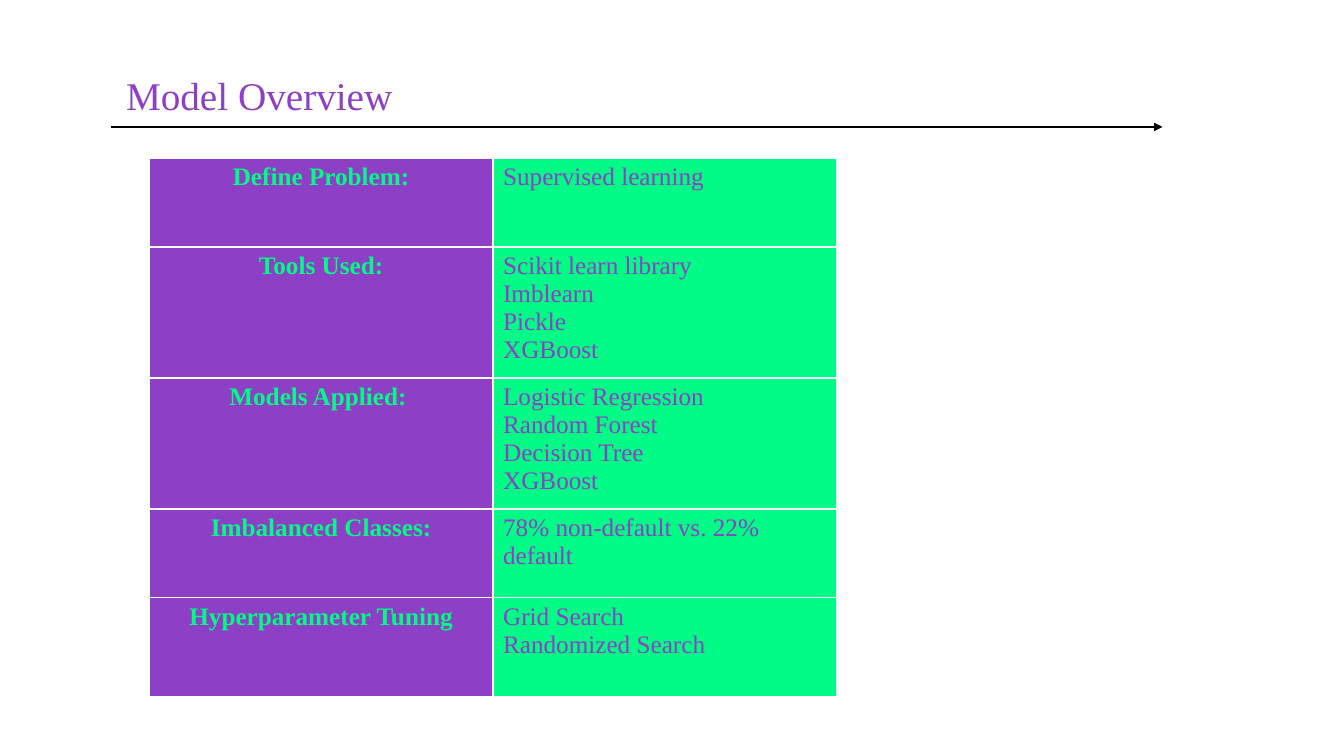
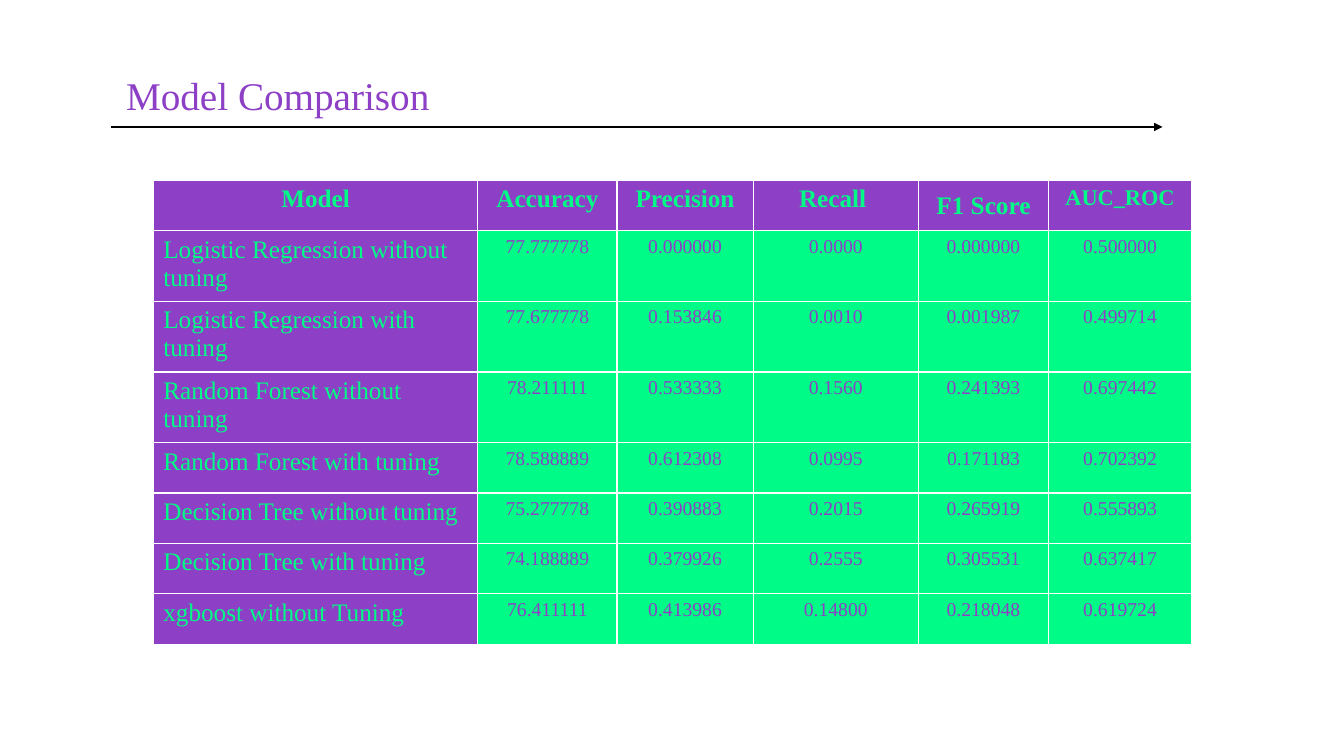
from lxml import etree
from pptx import Presentation
from pptx.dml.color import RGBColor
from pptx.enum.shapes import MSO_CONNECTOR
from pptx.enum.text import MSO_ANCHOR, MSO_AUTO_SIZE, PP_ALIGN
from pptx.oxml.ns import qn
from pptx.util import Inches, Pt

PURPLE = RGBColor(0x8D, 0x40, 0xC5)
GREEN = RGBColor(0x00, 0xFC, 0x86)
BLACK = RGBColor(0x00, 0x00, 0x00)
FONT = "Times New Roman"
STRAIGHT = MSO_CONNECTOR.STRAIGHT
LEFT, CENTER = PP_ALIGN.LEFT, PP_ALIGN.CENTER
TOP, MIDDLE = MSO_ANCHOR.TOP, MSO_ANCHOR.MIDDLE
NO_AUTOFIT = MSO_AUTO_SIZE.NONE
TITLE_ONLY = 5

TITLE_BOX = (1.15, 0.66, 7.16, 0.57)
RULE = (1.1, 1.26, 11.53, 1.26)

OVERVIEW = [
    ("Define Problem:", "Supervised learning"),
    ("Tools Used:", "Scikit learn library\nImblearn\nPickle\nXGBoost"),
    ("Models Applied: ", "Logistic Regression\nRandom Forest\nDecision Tree\nXGBoost"),
    ("Imbalanced Classes:", "78% non-default vs. 22% default"),
    ("Hyperparameter Tuning", "Grid Search\nRandomized Search"),
]
OVERVIEW_HEIGHTS = [0.88, 1.3, 1.3, 0.88, 0.98]

COMPARISON = [
    ("Model", "Accuracy", "Precision", "Recall ", "F1 Score", "AUC_ROC"),
    ("Logistic Regression without tuning", "77.777778", "0.000000", "0.0000", "0.000000", "0.500000"),
    ("Logistic Regression with tuning", "77.677778", "0.153846", "0.0010", "0.001987", "0.499714"),
    ("Random Forest without tuning", "78.211111", "0.533333", "0.1560", "0.241393", "0.697442"),
    ("Random Forest with tuning", "78.588889", "0.612308", "0.0995", "0.171183", "0.702392"),
    ("Decision Tree without tuning", "75.277778", "0.390883", "0.2015", "0.265919", "0.555893"),
    ("Decision Tree with tuning", "74.188889", "0.379926", "0.2555", "0.305531", "0.637417"),
    ("xgboost without Tuning", "76.411111", "0.413986", "0.14800", "0.218048", "0.619724"),
]
COMPARISON_WIDTHS = [3.22, 1.38, 1.35, 1.64, 1.29, 1.42]
COMPARISON_HEIGHTS = [0.5] + [0.7] * 3 + [0.5] * 4


def style_paragraph(p, size, color, bold=False, align=LEFT):
    p.alignment = align
    p.font.name = FONT
    p.font.size = Pt(size)
    p.font.bold = bold
    p.font.color.rgb = color


def add_arrow(s, x1, y1, x2, y2):
    arrow = s.shapes.add_connector(STRAIGHT, Inches(x1), Inches(y1), Inches(x2), Inches(y2))
    arrow.line.color.rgb = BLACK
    arrow.line.width = Pt(1.5)
    ln = arrow.line._get_or_add_ln()
    etree.SubElement(ln, qn("a:tailEnd"), type="triangle")
    etree.SubElement(arrow._element.spPr, qn("a:effectLst"))


def add_titled_slide(prs, text):
    s = prs.slides.add_slide(prs.slide_layouts[TITLE_ONLY])
    add_arrow(s, *RULE)
    title = s.shapes.title
    title.left, title.top, title.width, title.height = map(Inches, TITLE_BOX)
    tf = title.text_frame
    tf.text = text
    tf.word_wrap = True
    tf.auto_size = NO_AUTOFIT
    tf.vertical_anchor = TOP
    style_paragraph(tf.paragraphs[0], 28, PURPLE)
    return s


def add_table(s, left, top, widths, heights, rows):
    frame = s.shapes.add_table(len(rows), len(widths), Inches(left), Inches(top),
                               Inches(sum(widths)), Inches(sum(heights)))
    table = frame.table
    table.horz_banding = False
    for column, width in zip(table.columns, widths):
        column.width = Inches(width)
    for row, height, texts in zip(table.rows, heights, rows):
        row.height = Inches(height)
        for cell, text in zip(row.cells, texts):
            cell.text = text
    return table


def style_cell(cell, fill, color, size, bold=False, align=LEFT):
    cell.fill.solid()
    cell.fill.fore_color.rgb = fill
    for p in cell.text_frame.paragraphs:
        style_paragraph(p, size, color, bold, align)


def add_overview_table(s, left, top):
    table = add_table(s, left, top, [3.41, 3.41], OVERVIEW_HEIGHTS, OVERVIEW)
    for row in table.rows:
        label, detail = row.cells
        style_cell(label, PURPLE, GREEN, 18, True, CENTER)
        style_cell(detail, GREEN, PURPLE, 18)


def add_comparison_table(s, left, top):
    table = add_table(s, left, top, COMPARISON_WIDTHS, COMPARISON_HEIGHTS, COMPARISON)
    table.first_col = True
    header, *models = table.rows
    for cell in header.cells:
        size = 16 if cell.text == "AUC_ROC" else 18
        style_cell(cell, PURPLE, GREEN, size, True, CENTER)
    table.cell(0, COMPARISON[0].index("F1 Score")).vertical_anchor = MIDDLE
    for row in models:
        name, *scores = row.cells
        style_cell(name, PURPLE, GREEN, 18)
        for cell in scores:
            style_cell(cell, GREEN, PURPLE, 14, align=CENTER)


def main():
    prs = Presentation()
    prs.slide_width, prs.slide_height = Inches(13.33), Inches(7.5)
    add_overview_table(add_titled_slide(prs, "Model Overview"), 1.48, 1.57)
    add_comparison_table(add_titled_slide(prs, "Model Comparison"), 1.52, 1.79)
    prs.save("out.pptx")


if __name__ == "__main__":
    main()
